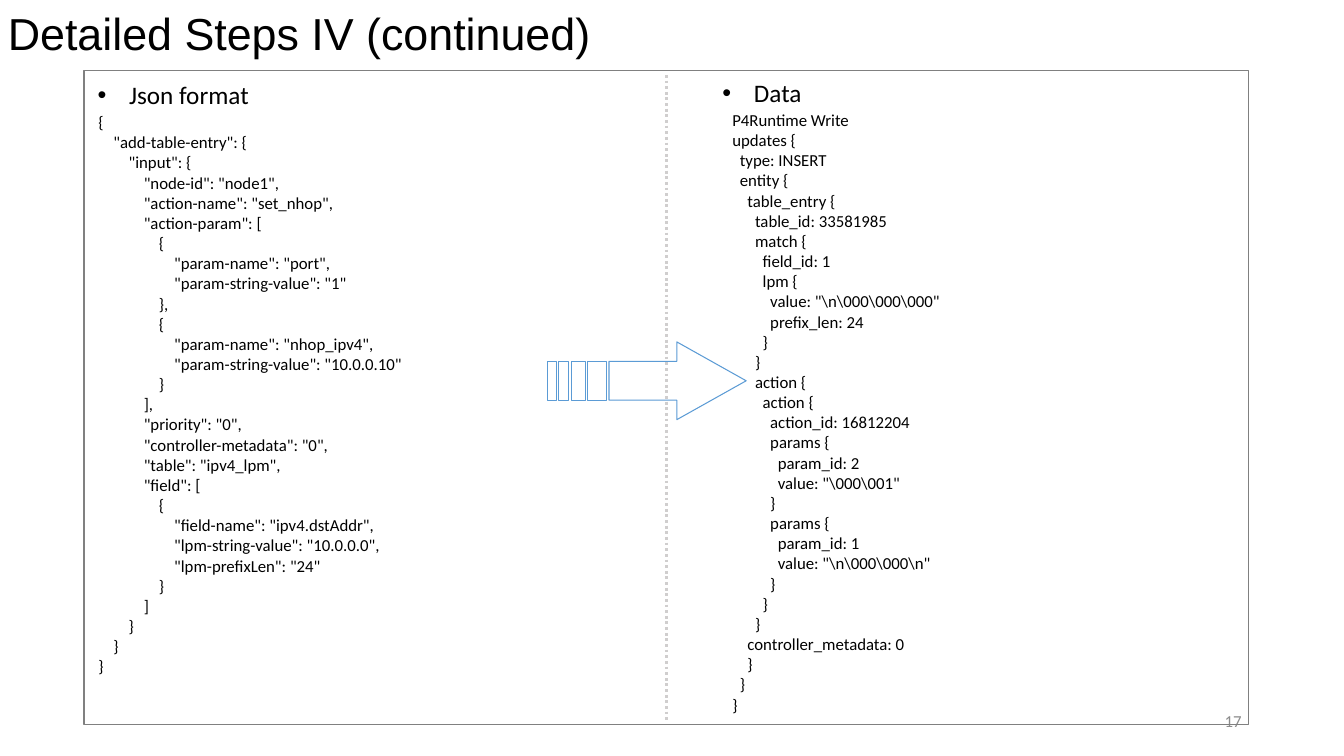
from dataclasses import dataclass
from lxml.etree import SubElement
from pptx import Presentation
from pptx.dml.color import RGBColor
from pptx.enum.dml import MSO_LINE_DASH_STYLE as Dash
from pptx.enum.shapes import MSO_CONNECTOR_TYPE as Connector, MSO_SHAPE as Preset
from pptx.enum.text import MSO_ANCHOR as Anchor, MSO_AUTO_SIZE as AutoSize, PP_ALIGN as Align
from pptx.oxml.ns import qn
from pptx.util import Pt


@dataclass(frozen=True)
class Theme:
    text: str = "000000"
    page_number: str = "8C8C8C"
    frame: str = "808080"
    divider: str = "D0CECE"
    arrow: str = "5B9BD5"
    title_font: str = "Arial"
    body_font: str = "Calibri"
    title_size: float = 32
    heading_size: float = 18
    code_size: float = 12
    bullet_indent: float = 22.5
    space_width: float = 2.71


theme = Theme()

JSON_REQUEST = r'''{
    "add-table-entry": {
        "input": {
            "node-id": "node1",
            "action-name": "set_nhop",
            "action-param": [
                {
                    "param-name": "port",
                    "param-string-value": "1"
                },
                {
                    "param-name": "nhop_ipv4",
                    "param-string-value": "10.0.0.10"
                }
            ],
            "priority": "0",
            "controller-metadata": "0",
            "table": "ipv4_lpm",
            "field": [
                {
                    "field-name": "ipv4.dstAddr",
                    "lpm-string-value": "10.0.0.0",
                    "lpm-prefixLen": "24"
                }
            ]
        }
    }
}'''

WRITE_DATA = r'''P4Runtime Write
updates {
  type: INSERT
  entity {
    table_entry {
      table_id: 33581985
      match {
        field_id: 1
        lpm {
          value: "\n\000\000\000"
          prefix_len: 24
        }
      }
      action {
        action {
          action_id: 16812204
          params {
            param_id: 2
            value: "\000\001"
          }
          params {
            param_id: 1
            value: "\n\000\000\n"
          }
        }
      }
    controller_metadata: 0
    }
  }
}'''


def add_text(slide, box, text, *, size, font=theme.body_font, color=theme.text,
             align=Align.LEFT, anchor=Anchor.TOP, bullet=False,
             auto_size=AutoSize.SHAPE_TO_FIT_TEXT):
    frame = slide.shapes.add_textbox(*map(Pt, box)).text_frame
    frame.word_wrap, frame.auto_size, frame.vertical_anchor = True, auto_size, anchor
    for index, line in enumerate(text.splitlines()):
        paragraph = frame.add_paragraph() if index else frame.paragraphs[0]
        paragraph.alignment = align
        content = line.lstrip()
        run = paragraph.add_run()
        run.text = content
        run.font.name, run.font.size = font, Pt(size)
        run.font.color.rgb = RGBColor.from_string(color)
        properties = paragraph._p.get_or_add_pPr()
        margin = (len(line) - len(content)) * theme.space_width
        if bullet:
            margin = theme.bullet_indent
            properties.set("indent", str(-Pt(margin)))
            SubElement(properties, qn("a:buFont"), typeface="Arial")
            SubElement(properties, qn("a:buChar"), char="•")
        properties.set("marL", str(Pt(margin)))


def style_outline(shape, color, width):
    shape.shadow.inherit = False
    shape.fill.background()
    shape.line.color.rgb = RGBColor.from_string(color)
    shape.line.width = Pt(width)


def add_code_panel(slide, box, heading, heading_width, code, code_inset):
    left, top, width, height = box
    heading_step = 23
    add_text(slide, (left, top, heading_width, 29), heading,
             size=theme.heading_size, bullet=True)
    add_text(slide, (left + code_inset, top + heading_step, width - code_inset,
                     height - heading_step), code, size=theme.code_size)


def add_frame(slide, box):
    left, top, width, height = box
    border = slide.shapes.add_shape(Preset.RECTANGLE, *map(Pt, box))
    style_outline(border, theme.frame, 1)
    middle = left + width / 2
    divider = slide.shapes.add_connector(
        Connector.STRAIGHT, Pt(middle), Pt(top + 3), Pt(middle), Pt(top + height - 2))
    divider.line.color.rgb = RGBColor.from_string(theme.divider)
    divider.line.width = Pt(2)
    divider.line.dash_style = Dash.ROUND_DOT
    SubElement(divider._element.spPr, qn("a:effectLst"))


def add_striped_arrow(slide, box):
    left, top, width, height = box
    upper, lower = height / 4, height * 3 / 4
    stripes = [(0, 6.5), (8, 15), (17, 27.5), (28.75, 42.5)]
    contours = [[(start, upper), (end, upper), (end, lower), (start, lower)]
                for start, end in stripes]
    tail, neck = 44, 92.5
    contours.append([(tail, upper), (neck, upper), (neck, 0), (width, height / 2),
                     (neck, height), (neck, lower), (tail, lower)])
    builder = None
    for contour in contours:
        first, *rest = [(Pt(x), Pt(y)) for x, y in contour]
        if builder is None:
            builder = slide.shapes.build_freeform(*first)
        else:
            builder.move_to(*first)
        builder.add_line_segments(rest, close=True)
    style_outline(builder.convert_to_shape(Pt(left), Pt(top)), theme.arrow, 0.75)


def build_slide(presentation, box):
    slide = presentation.slides.add_slide(presentation.slide_layouts[6])
    left, top, width, height = box
    add_text(slide, (left + width - 282, top + height - 39.5, 216, 29), "17",
             size=theme.code_size, color=theme.page_number, align=Align.RIGHT,
             anchor=Anchor.MIDDLE, auto_size=AutoSize.NONE)
    add_text(slide, (left - 1.5, top + 0.5, 536, 46), "Detailed Steps IV (continued)",
             size=theme.title_size, font=theme.title_font)
    add_frame(slide, (left + 60, top + 50.5, 832, 467))
    add_code_panel(slide, (left + 62.6, top + 53.3, 248.5, 437),
                   "Json format", 130, JSON_REQUEST, 0.5)
    add_code_panel(slide, (left + 509, top + 51.8, 276.5, 466.5),
                   "Data", 78, WRITE_DATA, 7)
    add_striped_arrow(slide, (left + 391, top + 244.25, 142, 55.5))


presentation = Presentation()
presentation.slide_width, presentation.slide_height = Pt(960), Pt(540)
build_slide(presentation, (0, 0, 960, 540))
presentation.save("out.pptx")
